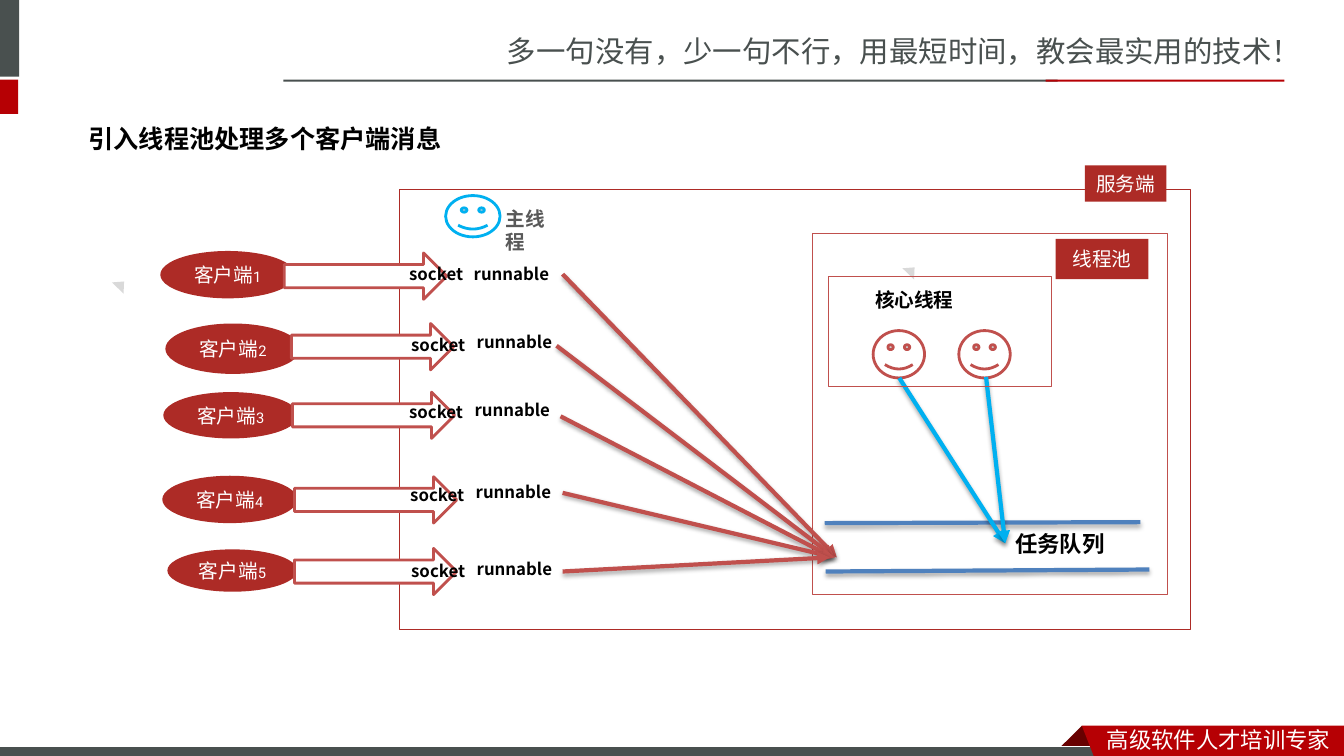
import pptx
import pptx.util
import pptx.dml.color
import pptx.enum.shapes
import pptx.enum.text
import pptx.oxml
import pptx.oxml.ns
from dataclasses import dataclass
from lxml import etree

Inches, Pt = pptx.util.Inches, pptx.util.Pt
SHAPE = pptx.enum.shapes.MSO_SHAPE
RGB = pptx.dml.color.RGBColor.from_string
qn = pptx.oxml.ns.qn


@dataclass
class Theme:
    gray: str = "49504F"
    brand: str = "B60004"
    fold: str = "680000"
    box: str = "AD2B26"
    red: str = "C0504D"
    cyan: str = "00B0F0"
    blue: str = "4F81BD"
    pale: str = "D9D9D9"
    label: str = "595959"
    white: str = "FFFFFF"
    black: str = "000000"
    slogan: float = 21
    title: float = 18
    large: float = 16
    body: float = 14
    small: float = 12
    digit: float = 10.5
    sans: str = "Noto Sans CJK SC"
    heading: str = "Noto Sans CJK JP"
    button: str = "Roboto"
    plain: str = "Calibri"


T = Theme()
prs = pptx.Presentation()
prs.slide_width, prs.slide_height = Inches(13.33), Inches(7.5)
s = prs.slides.add_slide(prs.slide_layouts[6])


def add_item(kind, box, fill=None, line=None, width=0.75):
    """Add a preset shape, or a text box when kind is None."""
    at = [Inches(v) for v in box]
    if kind is None:
        sp = s.shapes.add_textbox(*at)
    else:
        sp = s.shapes.add_shape(kind, *at)
        sp.shadow.inherit = False
    if fill:
        sp.fill.solid()
        sp.fill.fore_color.rgb = RGB(fill)
    else:
        sp.fill.background()
    if line:
        sp.line.color.rgb = RGB(line)
        sp.line.width = Pt(width)
    else:
        sp.line.fill.background()
    sp.text_frame.word_wrap = True
    return sp


def write(sp, text, size, face, color, bold=False, centered=False, digit=""):
    """Fill a shape with one paragraph; digit is a smaller closing run."""
    tf = sp.text_frame
    p = tf.paragraphs[0]
    if centered:
        tf.vertical_anchor = pptx.enum.text.MSO_ANCHOR.MIDDLE
        p.alignment = pptx.enum.text.PP_ALIGN.CENTER
    p.font.size, p.font.name, p.font.bold = Pt(size), face, bold
    p.font.color.rgb = RGB(color)
    latin = p._p.find(".//" + qn("a:latin"))
    ea = etree.Element(qn("a:ea"), typeface=face)
    latin.addnext(ea)
    p.add_run().text = text
    if digit:
        r = p.add_run()
        r.text = digit
        r.font.size = Pt(T.digit)


# Page frame: side tabs, header rules and footer ribbon
for box, color in [((-0.06, 0, 0.25, 0.76), T.gray), ((-0.06, 0.79, 0.24, 0.34), T.brand),
                   ((2.81, 0.79, 7.68, 0.02), T.gray), ((10.37, 0.79, 2.37, 0.02), T.brand)]:
    add_item(SHAPE.RECTANGLE, box, color)
write(add_item(None, (4.93, 0.28, 8.41, 0.47)),
      "多一句没有，少一句不行，用最短时间，教会最实用的技术！", T.slogan, T.sans, T.gray)
ribbon_fold = [(10.73, 7.2), (10.95, 7.42), (10.94, 7.43), (10.52, 7.43), (10.51, 7.42)]
ribbon = [(10.73, 7.2), (13.33, 7.2), (13.33, 7.54), (10.86, 7.53)]
for points, color in [(ribbon_fold, T.fold), (ribbon, T.brand)]:
    if points is ribbon:
        add_item(SHAPE.RECTANGLE, (-0.01, 7.41, 11, 0.12), T.gray, T.white)
    corners = [(Inches(x), Inches(y)) for x, y in points]
    outline = s.shapes.build_freeform(*corners[0])
    outline.add_line_segments(corners[1:], close=True)
    sp = outline.convert_to_shape()
    sp.shadow.inherit = False
    sp.fill.solid()
    sp.fill.fore_color.rgb = RGB(color)
    sp.line.fill.background()
write(add_item(None, (10.88, 7.15, 2.45, 0.37)), "高级软件人才培训专家", T.large, T.sans, T.white)

# Title and corner marks
write(add_item(None, (0.78, 1.17, 6.66, 0.4)), "引入线程池处理多个客户端消息",
      T.title, T.heading, T.black, bold=True)
for left, top in [(1.12, 2.78), (8.96, 2.64)]:
    add_item(SHAPE.ISOSCELES_TRIANGLE, (left, top, 0.16, 0.09), T.pale).rotation = 44.2

# Server and thread pool frames with their tags
add_item(SHAPE.RECTANGLE, (3.96, 1.88, 7.85, 4.37), line=T.box)
add_item(SHAPE.RECTANGLE, (8.06, 2.32, 3.52, 3.58), line=T.red)
for text, box in [("服务端", (10.76, 1.64, 0.81, 0.36)), ("线程池", (10.47, 2.37, 0.92, 0.4))]:
    write(add_item(SHAPE.RECTANGLE, box, T.box), text, T.body, T.button, T.white, centered=True)

# Clients: ellipse, left end of the block arrow
clients = [((1.59, 2.49, 1.34, 0.47), (2.82, 2.51)),
           ((1.64, 3.21, 1.34, 0.5), (2.89, 3.21)),
           ((1.62, 3.89, 1.34, 0.46), (2.9, 3.89)),
           ((1.61, 4.72, 1.34, 0.47), (2.92, 4.73)),
           ((1.66, 5.45, 1.29, 0.42), (2.92, 5.44))]
for number, (ellipse, arrow) in enumerate(clients, 1):
    write(add_item(SHAPE.OVAL, ellipse, T.box), "客户端", T.body, T.button, T.white,
          centered=True, digit=str(number))
    add_item(SHAPE.RIGHT_ARROW, (*arrow, 1.61, 0.46), T.white, T.red, 2)

# Threads
for box, color in [((4.42, 1.94, 0.54, 0.41), T.cyan), ((8.66, 3.28, 0.51, 0.47), T.red),
                   ((9.51, 3.28, 0.51, 0.47), T.red)]:
    add_item(SHAPE.SMILEY_FACE, box, T.white, color, 2)

# Queue rails, submitted tasks and worker arrows
lines = [((8.18, 5.19), (11.31, 5.18), T.blue, False),
         ((8.19, 5.67), (11.4, 5.65), T.blue, False),
         ((5.58, 2.72), (8.3, 5.53), T.red, True),
         ((5.52, 3.43), (8.28, 5.53), T.red, True),
         ((5.56, 4.13), (8.26, 5.53), T.red, True),
         ((5.58, 4.89), (8.28, 5.53), T.red, True),
         ((5.58, 5.67), (8.23, 5.53), T.red, True),
         ((8.92, 3.75), (9.97, 5.39), T.cyan, True),
         ((9.78, 3.74), (9.97, 5.39), T.cyan, True)]
shadow = ('<a:effectLst xmlns:a="http://schemas.openxmlformats.org/drawingml/2006/main">'
          '<a:outerShdw blurRad="40000" dist="23000" dir="5400000" rotWithShape="0">'
          '<a:srgbClr val="000000"><a:alpha val="35000"/></a:srgbClr>'
          '</a:outerShdw></a:effectLst>')
for start, end, color, has_head in lines:
    cx = s.shapes.add_connector(pptx.enum.shapes.MSO_CONNECTOR.STRAIGHT,
                                *[Inches(v) for v in start + end])
    cx.line.color.rgb = RGB(color)
    cx.line.width = Pt(3)
    if has_head:
        etree.SubElement(cx.line._get_or_add_ln(), qn("a:tailEnd"), type="triangle")
    cx._element.spPr.append(pptx.oxml.parse_xml(shadow))

# Core thread frame and labels
add_item(SHAPE.RECTANGLE, (8.22, 2.74, 2.21, 1.09), line=T.red)
for text, box, size, face, color in [
        ("主线程", (4.92, 2, 0.78, 0.34), T.body, T.heading, T.label),
        ("任务队列", (9.97, 5.21, 3.61, 0.37), T.large, T.heading, T.black),
        ("核心线程", (8.58, 2.81, 3.61, 0.34), T.body, T.plain, T.black)]:
    write(add_item(None, box), text, size, face, color, bold=True)

# Socket and runnable labels: left and top of each, shared width
for socket, runnable, width in [((3.96, 2.57), (4.6, 2.57), 1.15),
                                ((3.98, 3.27), (4.63, 3.24), 1.05),
                                ((3.96, 3.94), (4.61, 3.92), 1.17),
                                ((3.97, 4.76), (4.62, 4.73), 1.28),
                                ((3.98, 5.51), (4.63, 5.49), 1.21)]:
    for text, corner in [("socket", socket), ("runnable", runnable)]:
        write(add_item(None, (*corner, width, 0.3)), text, T.small, T.heading, T.black, bold=True)

prs.save("out.pptx")
